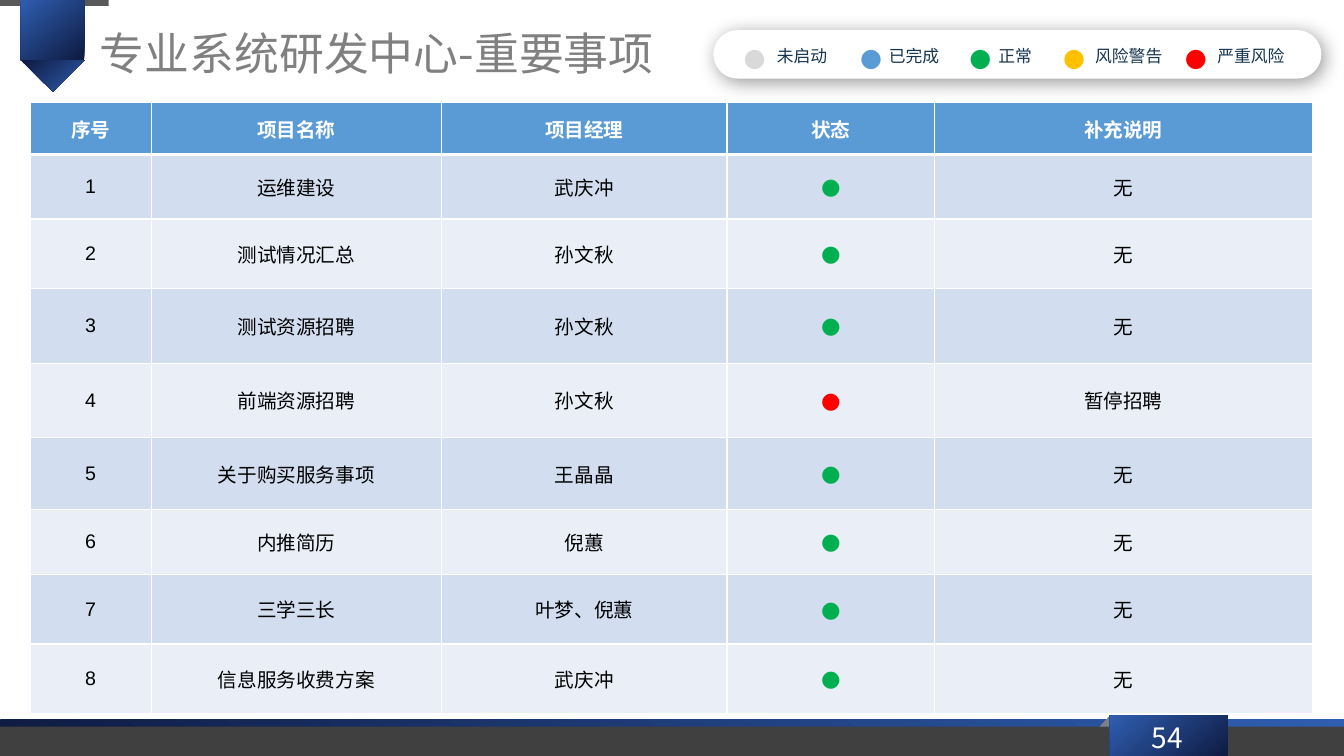
from lxml.etree import SubElement as Sub
from pptx import Presentation
from pptx.dml.color import RGBColor as Rgb
from pptx.enum.shapes import MSO_SHAPE as Shape
from pptx.enum.text import MSO_ANCHOR as Anchor, PP_ALIGN as Align
from pptx.oxml.ns import qn
from pptx.util import Cm, Pt

HUES = {
    "white": "FFFFFF", "black": "000000", "strip": "595959",
    "title": "808080", "base": "404040", "fold": "808080",
    "navy": "0E1A40", "royal": "2F5EB0", "label": "15344F",
    "head": "5B9BD5", "odd": "D2DEEF", "even": "EAEFF7",
    "idle": "D9D9D9", "done": "5B9BD5", "good": "00B050",
    "warn": "FFC000", "risk": "FF0000",
}
HAN = "Noto Sans CJK SC"
DOT = "Montserrat"

COLS = [3.05, 7.32, 7.19, 5.23, 9.52]
HIGHS = [1.3, 1.63, 1.75, 1.88, 1.88, 1.8, 1.65, 1.75, 1.75]
HEADS = ["序号", "项目名称", "项目经理", "状态", "补充说明"]
ITEMS = [
    ("运维建设", "武庆冲", "good", "无"),
    ("测试情况汇总", "孙文秋", "good", "无"),
    ("测试资源招聘", "孙文秋", "good", "无"),
    ("前端资源招聘", "孙文秋", "risk", "暂停招聘"),
    ("关于购买服务事项", "王晶晶", "good", "无"),
    ("内推简历", "倪蕙", "good", "无"),
    ("三学三长", "叶梦、倪蕙", "good", "无"),
    ("信息服务收费方案", "武庆冲", "good", "无"),
]
# Status, label, dot offset, label offset, label width
KEYS = [
    ("idle", "未启动", 0.51, 1.35, 2.51),
    ("done", "已完成", 3.45, 4.17, 2.51),
    ("good", "正常", 6.2, 6.93, 1.65),
    ("warn", "风险警告", 8.56, 9.37, 3.05),
    ("risk", "严重风险", 11.63, 12.45, 3.07),
]


def rgb(hue):
    return Rgb.from_string(HUES[hue])


def write(frame, text, size=14, hue="black", font=HAN, bold=False,
          align=Align.LEFT):
    """Put one formatted line into a text frame."""
    para = frame.paragraphs[0]
    para.alignment = align
    run = para.add_run()
    run.text = text
    run.font.size = Pt(size)
    run.font.name = font
    run.font.bold = bold
    run.font.color.rgb = rgb(hue)
    east = font if font == DOT else HAN
    Sub(run.font._element, qn("a:ea"), typeface=east)


def label(slide, box, text, wrap=True, anchor=Anchor.TOP, pad=None, **form):
    frame = slide.shapes.add_textbox(*map(Cm, box)).text_frame
    frame.word_wrap = wrap
    frame.vertical_anchor = anchor
    if pad:
        frame.margin_left = frame.margin_right = Cm(pad[0])
        frame.margin_top = frame.margin_bottom = Cm(pad[1])
    write(frame, text, **form)


def paint(shape, hue=None, angle=130):
    """Fill with a plain hue, or with the blue gradient if none is given."""
    shape.shadow.inherit = False
    shape.line.fill.background()
    if hue:
        shape.fill.solid()
        shape.fill.fore_color.rgb = rgb(hue)
        return
    shape.fill.gradient()
    shape.fill.gradient_angle = angle
    for stop, tone in zip(shape.fill.gradient_stops, ("navy", "royal")):
        stop.color.rgb = rgb(tone)


def block(slide, box, kind=Shape.RECTANGLE, **look):
    shape = slide.shapes.add_shape(kind, *map(Cm, box))
    paint(shape, **look)
    return shape


def header(slide, x, y):
    # Grey strip, blue ribbon and title
    block(slide, (x, y, 2.74, 0.15), hue="strip")
    block(slide, (x + 0.53, y, 1.6, 1.52))
    tip = block(slide, (x + 0.53, y + 1.52, 1.6, 0.79),
                Shape.ISOSCELES_TRIANGLE)
    tip.rotation = 180
    label(slide, (x + 2.34, y + 0.56, 17.42, 1.55),
          "专业系统研发中心-重要事项", pad=(0.18, 0.1), size=32, hue="title")


def footer(slide, x, y, wide):
    # Bars across the foot
    block(slide, (x, y + 0.11, wide, 0.99), angle=50)
    block(slide, (x, y + 0.28, wide, 0.81), hue="base")
    # Page tab with its folded corner
    left = x + 27.97
    spots = [(left + 2.53, y), (left + 2.56, y + 0.31),
             (left - 0.26, y + 0.28)]
    fold = slide.shapes.build_freeform(Cm(left), Cm(y))
    fold.add_line_segments([(Cm(a), Cm(b)) for a, b in spots])
    paint(fold.convert_to_shape(), "fold")
    block(slide, (left, y, 2.97, 1.09))
    label(slide, (left + 0.22, y + 0.03, 2.46, 1.02), "54", size=20,
          hue="white", align=Align.CENTER, anchor=Anchor.MIDDLE)


def edge(cell, base):
    """Draw white borders; the base one has its own width."""
    props = cell._tc.get_or_add_tcPr()
    for spot, side in enumerate("LRTB"):
        width = Pt(base if side == "B" else 1)
        line = props.makeelement(qn("a:ln" + side), {"w": str(width)})
        fill = Sub(line, qn("a:solidFill"))
        Sub(fill, qn("a:srgbClr"), val=HUES["white"])
        props.insert(spot, line)


def grid(slide, x, y):
    # Table of matters
    table = slide.shapes.add_table(
        len(HIGHS), len(COLS), Cm(x), Cm(y),
        Cm(sum(COLS)), Cm(sum(HIGHS))).table
    for col, wide in zip(table.columns, COLS):
        col.width = Cm(wide)
    for row, high in zip(table.rows, HIGHS):
        row.height = Cm(high)
    rows = [HEADS] + [(str(n), *item) for n, item in enumerate(ITEMS, 1)]
    for r, row in enumerate(rows):
        tone = "head" if r == 0 else "odd" if r % 2 else "even"
        for c, text in enumerate(row):
            cell = table.cell(r, c)
            cell.vertical_anchor = Anchor.MIDDLE
            cell.fill.solid()
            cell.fill.fore_color.rgb = rgb(tone)
            edge(cell, 1 if r else 3)
            if r == 0:
                form = dict(hue="white", bold=True)
            elif c == 3:
                form = dict(size=16, hue=text, font=DOT)
                text = "●"
            else:
                form = dict(font="Arial")
            write(cell.text_frame, text, align=Align.CENTER, **form)


def legend(slide, x, y):
    # Rounded panel with a soft shadow
    panel = block(slide, (x, y, 15.32, 1.22), Shape.ROUNDED_RECTANGLE,
                  hue="white")
    panel.adjustments[0] = 0.5
    glow = Sub(panel._element.spPr.find(qn("a:effectLst")),
               qn("a:outerShdw"), blurRad=str(Pt(14)), dist=str(Pt(3)),
               dir="2700000", algn="tl", rotWithShape="0")
    tint = Sub(glow, qn("a:srgbClr"), val=HUES["black"])
    Sub(tint, qn("a:alpha"), val="40000")
    # Status keys
    for hue, text, dot, start, wide in KEYS:
        label(slide, (x + dot, y + 0.15, 1.14, 1.02), "●", wrap=False,
              size=18, hue=hue, font=DOT)
        label(slide, (x + start, y + 0.28, wide, 0.76), text, size=12,
              hue="label")


def main():
    deck = Presentation()
    deck.slide_width, deck.slide_height = Cm(33.87), Cm(19.05)
    slide = deck.slides.add_slide(deck.slide_layouts[6])
    header(slide, 0, 0)
    footer(slide, 0, 18.03, 33.87)
    grid(slide, 0.76, 2.59)
    legend(slide, 17.98, 0.76)
    deck.save("out.pptx")


if __name__ == "__main__":
    main()
